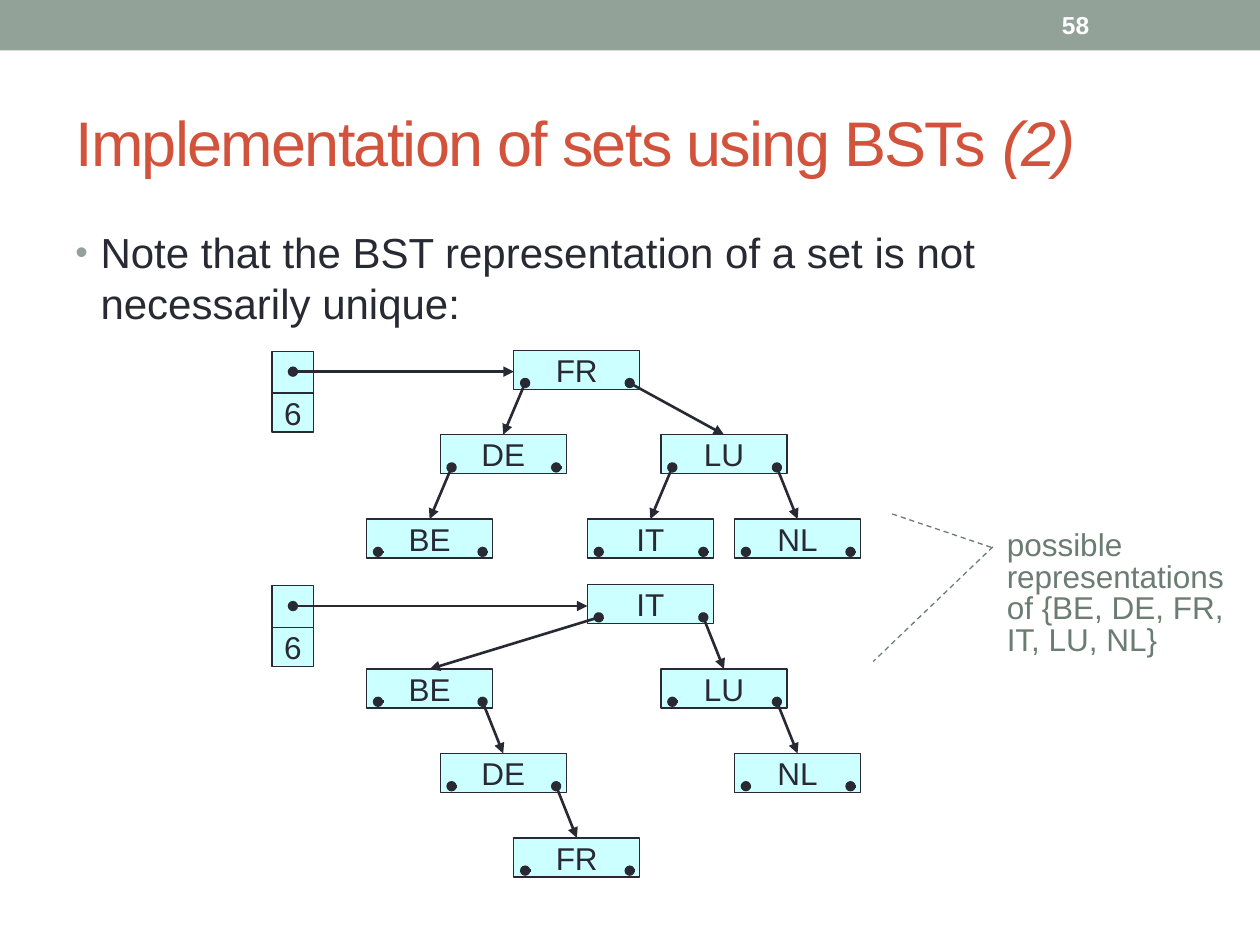
from pptx import Presentation
from pptx import util as u
from pptx.dml.color import RGBColor
from pptx.enum import dml, shapes, text
from pptx.oxml import parse_xml
from pptx.oxml.ns import nsdecls

INK = {"band": "93A299", "title": "D2533C", "body": "292934",
       "node": "CCFFFF", "note": "6B7D72", "page": "FFFFFF"}
STEP, DROP = 0.584, 0.67
WIDE, HIGH, CELL = 1, 0.31, 0.33

deck = Presentation()
deck.slide_width, deck.slide_height = u.Inches(10), u.Inches(7.5)
slide = deck.slides.add_slide(deck.slide_layouts[6])


def hue(name):
    return RGBColor.from_string(INK[name])


def inch(*nums):
    return [u.Inches(n) for n in nums]


def write(par, words, size, color, bold=False, slant=False):
    run = par.add_run()
    run.text = words
    font = run.font
    font.name, font.size = "Arial", u.Pt(size)
    font.bold, font.italic = bold, slant
    font.color.rgb = hue(color)
    return run


def label(box, anchor):
    item = slide.shapes.add_textbox(*inch(*box))
    frame = item.text_frame
    frame.word_wrap = True
    frame.vertical_anchor = anchor
    return frame.paragraphs[0]


def block(box, fill, edge=None, words=""):
    item = slide.shapes.add_shape(shapes.MSO_SHAPE.RECTANGLE, *inch(*box))
    item.shadow.inherit = False
    item.fill.solid()
    item.fill.fore_color.rgb = hue(fill)
    if edge:
        item.line.color.rgb = hue(edge)
        item.line.width = u.Pt(0.75)
    else:
        item.line.fill.background()
    if words:
        frame = item.text_frame
        frame.margin_left = frame.margin_right = 0
        frame.margin_top = frame.margin_bottom = 0
        frame.vertical_anchor = text.MSO_ANCHOR.MIDDLE
        par = frame.paragraphs[0]
        par.alignment = text.PP_ALIGN.CENTER
        write(par, words, 18, "body")


def line(start, end, color, width):
    item = slide.shapes.add_connector(
        shapes.MSO_CONNECTOR.STRAIGHT, *inch(*start, *end))
    item.line.color.rgb = hue(color)
    item.line.width = u.Pt(width)
    item._element.spPr.append(parse_xml(f"<a:effectLst {nsdecls('a')}/>"))
    return item


def link(start, end, arrow=True):
    item = line(start, end, "body", 1.5)
    ends = [("headEnd", "oval")] + [("tailEnd", "triangle")] * arrow
    for tag, kind in ends:
        item.line._get_or_add_ln().append(
            parse_xml(f'<a:{tag} {nsdecls("a")} type="{kind}"/>'))


def header(x, y, wide, high):
    block((x, y, wide, high), "band")
    par = label((x + 8.33, y + 0.02, 1.17, 0.36), text.MSO_ANCHOR.MIDDLE)
    write(par, "58", 14, "page", bold=True)


def title(*box):
    par = label(box, text.MSO_ANCHOR.MIDDLE)
    for words, slant in (("Implementation of sets using BSTs ", False), ("(2)", True)):
        run = write(par, words, 36, "title", slant=slant)
        run._r.get_or_add_rPr().set("spc", "-100")


def body(*box):
    par = label(box, text.MSO_ANCHOR.TOP)
    par.space_before = u.Pt(4.8)
    props = par._p.get_or_add_pPr()
    props.set("marL", str(u.Inches(0.2)))
    props.set("indent", str(u.Inches(-0.2)))
    for tag in (f'<a:buClr {nsdecls("a")}><a:srgbClr val="{INK["band"]}"/></a:buClr>',
                f'<a:buSzPct {nsdecls("a")} val="85000"/>',
                f'<a:buFont {nsdecls("a")} typeface="Arial"/>',
                f'<a:buChar {nsdecls("a")} char="•"/>'):
        props.append(parse_xml(tag))
    write(par, "Note that the BST representation of a set is not necessarily unique:",
          24, "body")


def tree(x, y, root, nodes):
    def spot(name):
        col, row = nodes[name][:2]
        return x + 0.75 + col * STEP, y + row * DROP

    block((x, y + 0.01, CELL, CELL), "node", "body")
    block((x, y + 0.01 + CELL, CELL, HIGH), "node", "body", str(len(nodes)))
    for name in nodes:
        block((*spot(name), WIDE, HIGH), "node", "body", name)
    link((x + CELL / 2, y + 0.17), (spot(root)[0], y + 0.17))
    for name, (_, _, *kids) in nodes.items():
        left, top = spot(name)
        for kid, shift in zip(kids, (0.09, 0.92)):
            dot = (left + shift, top + 0.26)
            if kid:
                kx, ky = spot(kid)
                link(dot, (kx + WIDE / 2, ky))
            else:
                link(dot, (dot[0] + 0.04, dot[1]), arrow=False)


def note(x, y, wide, high):
    item = slide.shapes.add_shape(
        shapes.MSO_SHAPE.LINE_CALLOUT_1_NO_BORDER, *inch(x, y, wide, high))
    for i, value in enumerate((0.113, -0.045, -0.137, -0.485)):
        item.adjustments[i] = value
    item.shadow.inherit = False
    item.fill.background()
    item.line.color.rgb = hue("note")
    item.line.width = u.Pt(0.75)
    low = line((x - 0.07, y + 0.12), (x - 1.02, y + 1.03), "note", 0.75)
    for part in (item, low):
        part.line.dash_style = dml.MSO_LINE.DASH
    frame = item.text_frame
    frame.word_wrap = True
    frame.vertical_anchor = text.MSO_ANCHOR.TOP
    frame.margin_left = frame.margin_right = u.Inches(0.04)
    frame.margin_top = frame.margin_bottom = 0
    par = frame.paragraphs[0]
    par.alignment = text.PP_ALIGN.LEFT
    par.line_spacing = u.Pt(18)
    write(par, "possible representations of {BE, DE, FR, IT, LU, NL}", 18, "note")


header(0, 0, 10, 0.4)
title(0.5, 0.58, 9, 1.08)
body(0.5, 1.75, 9, 5.33)
tree(2.16, 2.78, "FR", {
    "FR": (2, 0, "DE", "LU"), "DE": (1, 1, "BE", None),
    "LU": (4, 1, "IT", "NL"), "BE": (0, 2, None, None),
    "IT": (3, 2, None, None), "NL": (5, 2, None, None)})
tree(2.16, 4.64, "IT", {
    "IT": (3, 0, "BE", "LU"), "BE": (0, 1, None, "DE"),
    "LU": (4, 1, None, "NL"), "DE": (1, 2, None, "FR"),
    "NL": (5, 2, None, None), "FR": (2, 3, None, None)})
note(7.95, 4.22, 1.85, 1.1)
deck.save("out.pptx")
